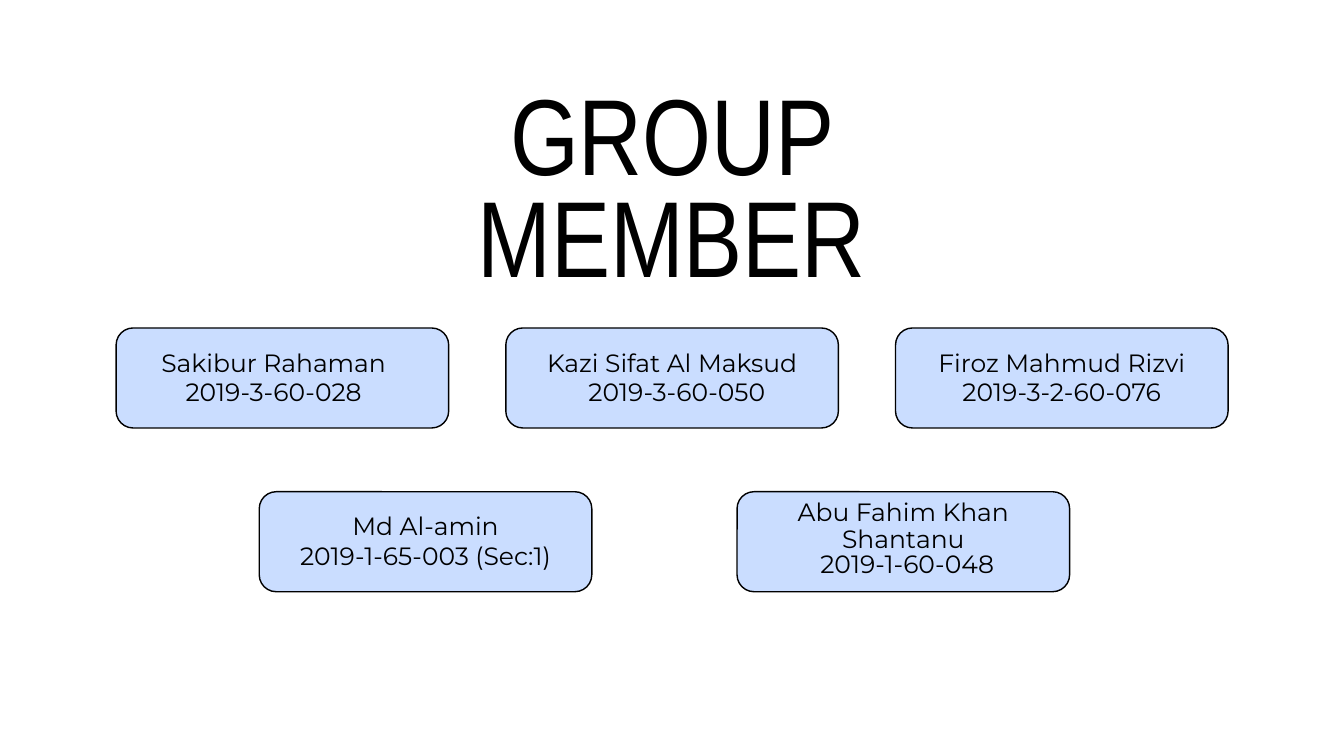
from dataclasses import dataclass

from pptx import Presentation
from pptx.dml.color import RGBColor
from pptx.enum.shapes import MSO_SHAPE
from pptx.enum.text import MSO_ANCHOR, MSO_AUTO_SIZE, PP_ALIGN
from pptx.util import Cm, Pt


@dataclass(frozen=True)
class Theme:
    ink: RGBColor = RGBColor(0x00, 0x00, 0x00)
    card: RGBColor = RGBColor(0xCA, 0xDD, 0xFF)
    title_font: str = "Arial Narrow"
    body_font: str = "Montserrat"
    title_size: float = 115.7
    title_leading: float = 108.8
    body_size: float = 26.8
    body_leading: float = 28.4
    outline: float = 1.5


@dataclass(frozen=True)
class Line:
    """A centred line of a card: width, drop from the card's top, shift from its centre."""
    text: str
    width: float
    drop: float
    shift: float = 0
    height: float = 1.04


CARD_W, CARD_H, CORNER = 12.57, 3.78, 0.64
# top, left of the first card, step between cards, members
ROWS = [
    (12.4, 4.39, 14.73, [
        (Line("Sakibur Rahaman", 8.71, 0.86, -0.33), Line("2019-3-60-028", 8.71, 1.98, -0.33)),
        (Line("Kazi Sifat Al Maksud", 9.98, 0.86), Line("2019-3-60-050", 8.71, 1.98, 0.18)),
        (Line("Firoz Mahmud Rizvi", 9.98, 0.86), Line("2019-3-2-60-076", 8.71, 1.98)),
    ]),
    (18.59, 9.8, 18.06, [
        (Line("Md Al-amin", 8.71, 0.84), Line("2019-1-65-003 (Sec:1)", 9.93, 1.98)),
        (Line("Abu Fahim Khan Shantanu", 11.6, 0.33, height=2.03),
         Line("2019-1-60-048", 8.71, 2.29, 0.15)),
    ]),
]


class Deck:
    def __init__(self, slide, theme):
        self.slide, self.theme = slide, theme

    def set_text(self, sp, text, font, size, leading):
        tf = sp.text_frame
        tf.text = text
        tf.word_wrap = True
        tf.auto_size = MSO_AUTO_SIZE.NONE
        tf.vertical_anchor = MSO_ANCHOR.TOP
        tf.margin_left = tf.margin_right = tf.margin_top = tf.margin_bottom = 0
        p = tf.paragraphs[0]
        p.alignment = PP_ALIGN.CENTER
        p.line_spacing = Pt(leading)
        p.space_before = Pt(0)
        r = p.runs[0]
        r.font.name, r.font.size = font, Pt(size)
        r.font.color.rgb = self.theme.ink

    def title(self, text, left, top, width, height):
        sp = self.slide.shapes.title
        sp.left, sp.top, sp.width, sp.height = Cm(left), Cm(top), Cm(width), Cm(height)
        t = self.theme
        self.set_text(sp, text, t.title_font, t.title_size, t.title_leading)

    def label(self, text, left, top, width, height):
        sp = self.slide.shapes.add_textbox(Cm(left), Cm(top), Cm(width), Cm(height))
        t = self.theme
        self.set_text(sp, text, t.body_font, t.body_size, t.body_leading)

    def card(self, left, top, lines):
        sp = self.slide.shapes.add_shape(
            MSO_SHAPE.ROUNDED_RECTANGLE, Cm(left), Cm(top), Cm(CARD_W), Cm(CARD_H))
        sp.adjustments[0] = CORNER / CARD_H
        sp.shadow.inherit = False
        sp.fill.solid()
        sp.fill.fore_color.rgb = self.theme.card
        sp.line.color.rgb = self.theme.ink
        sp.line.width = Pt(self.theme.outline)
        for line in lines:
            x = left + (CARD_W - line.width) / 2 + line.shift
            self.label(line.text, x, top + line.drop, line.width, line.height)


def main():
    prs = Presentation()
    prs.slide_width, prs.slide_height = Cm(50.8), Cm(28.58)
    deck = Deck(prs.slides.add_slide(prs.slide_layouts[5]), Theme())
    deck.title("GROUP MEMBER", 13.41, 3.63, 23.95, 4.17)
    for top, left, step, members in ROWS:
        for i, lines in enumerate(members):
            deck.card(left + i * step, top, lines)
    prs.save("out.pptx")


if __name__ == "__main__":
    main()
